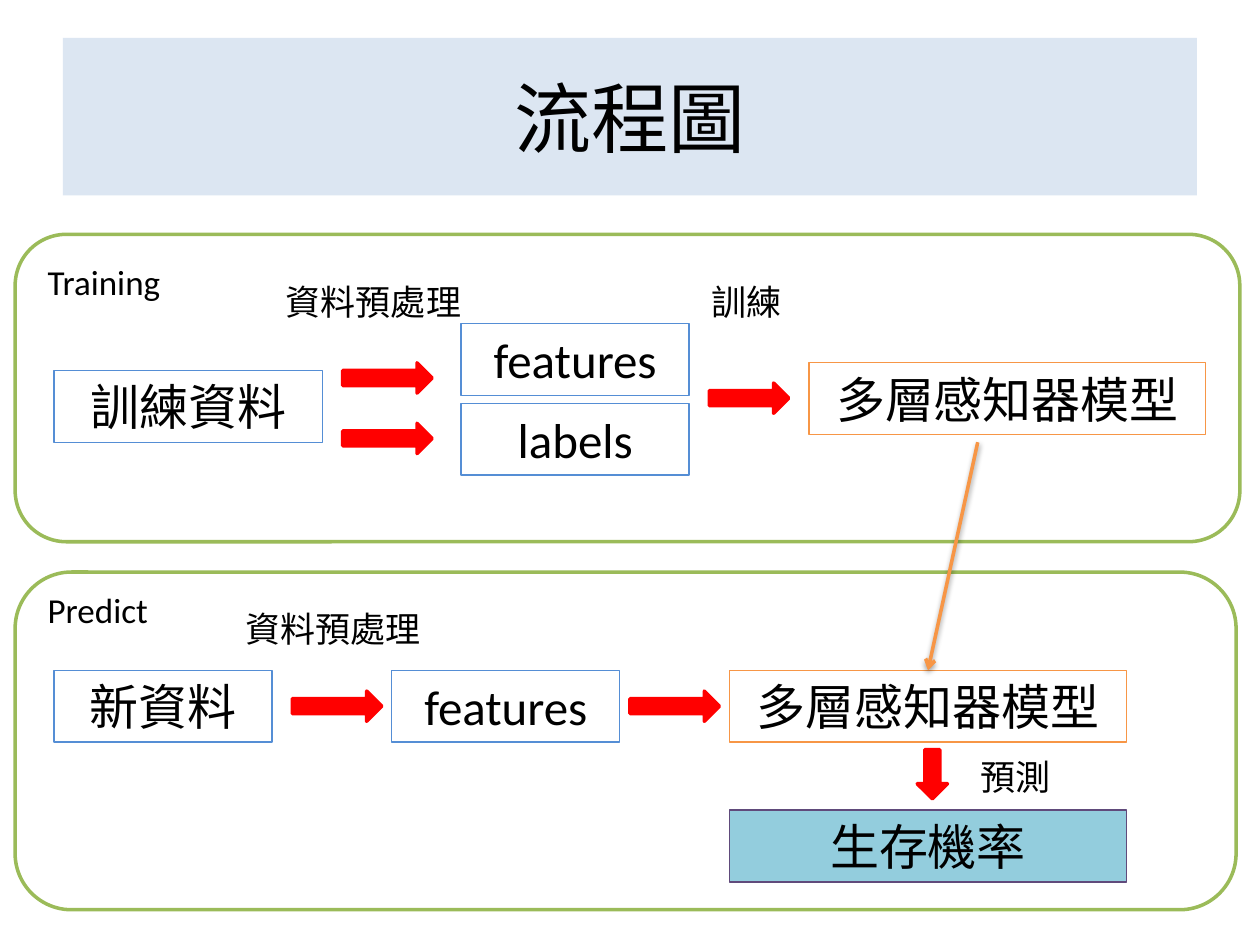
from dataclasses import dataclass

import lxml.etree
import pptx
import pptx.dml.color
import pptx.enum.shapes
import pptx.enum.text
import pptx.oxml
import pptx.oxml.ns
import pptx.util

SHAPE = pptx.enum.shapes.MSO_SHAPE
ALIGN = pptx.enum.text.PP_ALIGN
ANCHOR = pptx.enum.text.MSO_ANCHOR
WIDTH, HEIGHT = 10, 7.5
COLUMNS, ROWS = 100, 75


@dataclass(frozen=True)
class Theme:
    font: str = "Calibri"
    title_size: int = 44
    box_size: int = 28
    label_size: int = 20
    thin: float = 0.75
    thick: float = 2
    text: str = "000000"
    white: str = "FFFFFF"
    title_fill: str = "DCE6F2"
    panel_line: str = "9BBB59"
    data: str = "558ED5"
    model: str = "F79646"
    arrow: str = "FF0000"
    result_fill: str = "93CDDD"
    result_line: str = "604A7B"


@dataclass(frozen=True)
class Area:
    """A place on the grid, in columns and rows."""
    column: float
    row: float
    columns: float
    rows: float

    def lengths(self) -> tuple:
        return (across(self.column), down(self.row),
                across(self.columns), down(self.rows))


@dataclass(frozen=True)
class Box:
    text: str
    column: float
    row: float
    columns: float
    line: str
    fill: str | None = None


@dataclass(frozen=True)
class Label:
    text: str
    column: float
    row: float
    columns: float


THEME = Theme()
BOX_ROWS = 5.7
LABEL_ROWS = 4.4
ARROW_THICKNESS = 2.4
PREDICT_ROW = 53.2
PREDICT_ARROW_ROW = PREDICT_ROW + (BOX_ROWS - ARROW_THICKNESS) / 2
MODEL_COLUMN, MODEL_COLUMNS = 57.9, 31.5
FEATURE_COLUMNS = 18.1

PANELS = [Area(1.2, 18.6, 97.2, 24.4), Area(1.2, 45.4, 96.9, 26.8)]
TITLE = Area(5, 3, 90, 12.5)

BOXES = [
    Box("訓練資料", 4.3, 29.4, 21.3, THEME.data),
    Box("features", 36.6, 25.7, FEATURE_COLUMNS, THEME.data),
    Box("labels", 36.6, 32, FEATURE_COLUMNS, THEME.data),
    Box("多層感知器模型", 64.2, 28.8, MODEL_COLUMNS, THEME.model),
    Box("新資料", 4.3, PREDICT_ROW, 17.3, THEME.data),
    Box("features", 31.1, PREDICT_ROW, FEATURE_COLUMNS, THEME.data),
    Box("生存機率", MODEL_COLUMN, 64.3, MODEL_COLUMNS,
        THEME.result_line, THEME.result_fill),
]
PREDICT_MODEL = Box("多層感知器模型", MODEL_COLUMN, PREDICT_ROW, MODEL_COLUMNS, THEME.model)

LABELS = [
    Label("Training", 2.8, 20.2, 11),
    Label("資料預處理", 21.7, 21.8, 16.5),
    Label("訓練", 55.5, 21.8, 7.9),
    Label("Predict", 2.8, 46.2, 11),
    Label("資料預處理", 18.5, 47.7, 16.5),
    Label("預測", 76.8, 59.5, 7.9),
]

RIGHT_ARROWS = [
    Area(27.2, 28.8, 7.1, ARROW_THICKNESS),
    Area(27.2, 33.6, 7.1, ARROW_THICKNESS),
    Area(56.3, 30.4, 6.3, ARROW_THICKNESS),
    Area(23.2, PREDICT_ARROW_ROW, 7.1, ARROW_THICKNESS),
    Area(50, PREDICT_ARROW_ROW, 7.1, ARROW_THICKNESS),
]
DOWN_ARROW = Area(72.8, 59.5, ARROW_THICKNESS, 3.9)


def across(columns: float) -> int:
    return pptx.util.Inches(columns * WIDTH / COLUMNS)


def down(rows: float) -> int:
    return pptx.util.Inches(rows * HEIGHT / ROWS)


def rgb(color: str) -> pptx.dml.color.RGBColor:
    return pptx.dml.color.RGBColor.from_string(color)


def add_shape(slide, kind, area: Area, fill: str | None, line: str | None, weight: float = 0):
    shape = slide.shapes.add_shape(kind, *area.lengths())
    shape.shadow.inherit = False
    if fill:
        shape.fill.solid()
        shape.fill.fore_color.rgb = rgb(fill)
    else:
        shape.fill.background()
    if line:
        shape.line.color.rgb = rgb(line)
        shape.line.width = pptx.util.Pt(weight)
    else:
        shape.line.fill.background()
    return shape


def write(shape, text: str, size: int, align, anchor=ANCHOR.TOP, grow: bool = True) -> None:
    frame = shape.text_frame
    frame.text = text
    frame.word_wrap = True
    frame.vertical_anchor = anchor
    if grow:
        frame.auto_size = pptx.enum.text.MSO_AUTO_SIZE.SHAPE_TO_FIT_TEXT
    paragraph = frame.paragraphs[0]
    paragraph.alignment = align
    font = paragraph.runs[0].font
    font.name = THEME.font
    font.size = pptx.util.Pt(size)
    font.color.rgb = rgb(THEME.text)


def add_box(slide, box: Box):
    area = Area(box.column, box.row, box.columns, BOX_ROWS)
    shape = add_shape(slide, SHAPE.RECTANGLE, area, box.fill, box.line, THEME.thin)
    write(shape, box.text, THEME.box_size, ALIGN.CENTER)
    return shape


def add_label(slide, label: Label) -> None:
    area = Area(label.column, label.row, label.columns, LABEL_ROWS)
    write(slide.shapes.add_textbox(*area.lengths()), label.text, THEME.label_size, ALIGN.LEFT)


def add_model_link(slide, target) -> None:
    """Lead from below the trained model to the top of the predicting one."""
    link = slide.shapes.add_connector(
        pptx.enum.shapes.MSO_CONNECTOR.STRAIGHT,
        across(77.6), down(35.1), across(73.6), down(PREDICT_ROW))
    link.end_connect(target, 0)
    link.line.color.rgb = rgb(THEME.model)
    link.line.width = pptx.util.Pt(THEME.thick)
    qn = pptx.oxml.ns.qn
    lxml.etree.SubElement(link.line._get_or_add_ln(), qn("a:tailEnd"), type="arrow")
    properties = link._element.spPr
    effects = lxml.etree.SubElement(properties, qn("a:effectLst"))
    shadow = lxml.etree.SubElement(
        effects, qn("a:outerShdw"), blurRad="40000", dist="20000",
        dir="5400000", rotWithShape="0")
    color = lxml.etree.SubElement(shadow, qn("a:srgbClr"), val=THEME.text)
    lxml.etree.SubElement(color, qn("a:alpha"), val="38000")


def main() -> None:
    presentation = pptx.Presentation()
    presentation.slide_width = pptx.util.Inches(WIDTH)
    presentation.slide_height = pptx.util.Inches(HEIGHT)
    slide = presentation.slides.add_slide(presentation.slide_layouts[6])

    title = add_shape(slide, SHAPE.RECTANGLE, TITLE, THEME.title_fill, None)
    write(title, "流程圖", THEME.title_size, ALIGN.CENTER, ANCHOR.MIDDLE, grow=False)
    for panel in PANELS:
        add_shape(slide, SHAPE.ROUNDED_RECTANGLE, panel, THEME.white,
                  THEME.panel_line, THEME.thick)
    for box in BOXES:
        add_box(slide, box)
    predict_model = add_box(slide, PREDICT_MODEL)
    for arrow in RIGHT_ARROWS:
        add_shape(slide, SHAPE.RIGHT_ARROW, arrow, THEME.arrow, THEME.arrow, THEME.thick)
    add_shape(slide, SHAPE.DOWN_ARROW, DOWN_ARROW, THEME.arrow, THEME.arrow, THEME.thick)
    for label in LABELS:
        add_label(slide, label)
    add_model_link(slide, predict_model)
    presentation.save("out.pptx")


if __name__ == "__main__":
    main()
